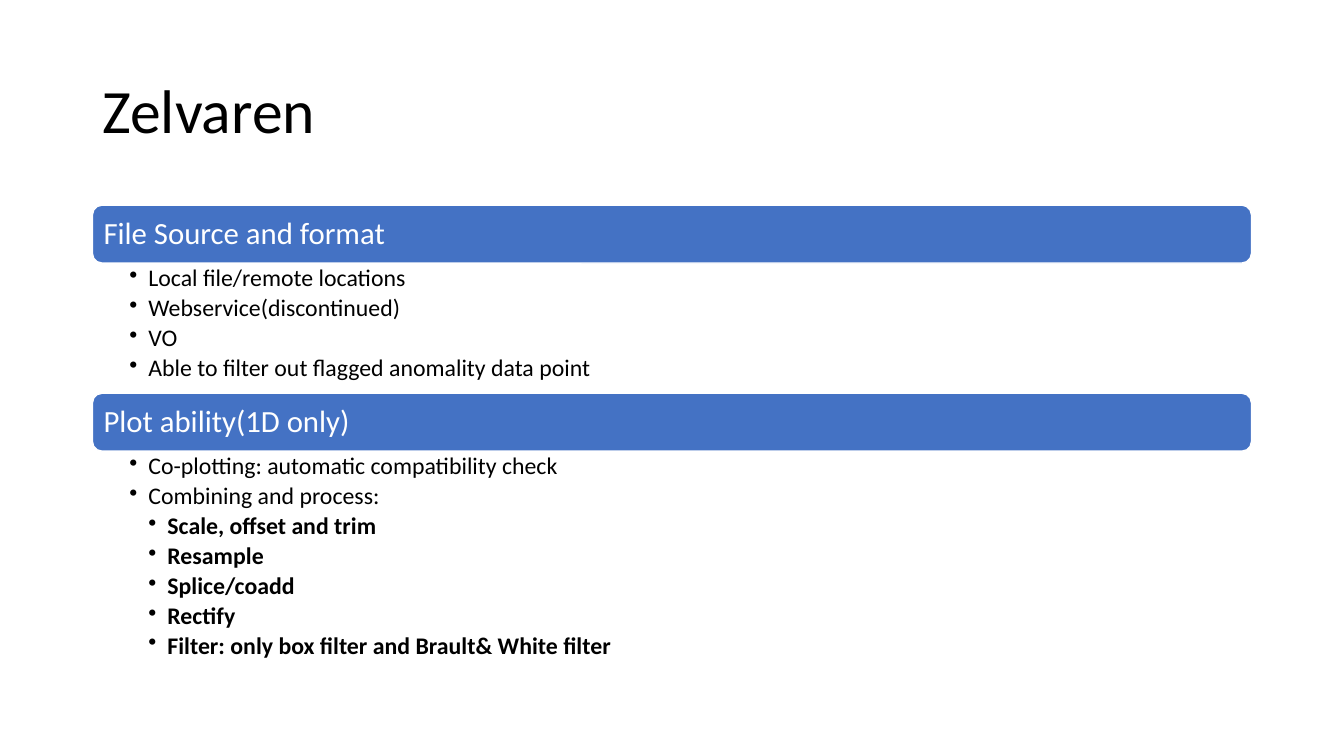
from lxml.etree import SubElement as Sub
from pptx import Presentation
from pptx.dml.color import RGBColor as Rgb
from pptx.enum.shapes import MSO_SHAPE as Shape
from pptx.enum.text import MSO_ANCHOR as Anchor, PP_ALIGN as Align
from pptx.oxml.ns import qn
from pptx.util import Cm, Pt

HUES = {"bar": "4472C4", "white": "FFFFFF", "black": "000000"}
LEFT, WIDE = Cm(2.33), Cm(29.21)
BAR = 1.46   # height of a heading bar in cm
STEP = 0.48  # indent of one bullet level in cm

# Heading, height of its list in cm, list items as (level, text)
PARTS = [
    ("File Source and format", 3.28, [
        (1, "Local file/remote locations"),
        (1, "Webservice(discontinued)"),
        (1, "VO"),
        (1, "Able to filter out flagged anomality data point"),
    ]),
    ("Plot ability(1D only)", 5.69, [
        (1, "Co-plotting: automatic compatibility check"),
        (1, "Combining and process:"),
        (2, "Scale, offset and trim"),
        (2, "Resample"),
        (2, "Splice/coadd"),
        (2, "Rectify"),
        (2, "Filter: only box filter and Brault& White filter"),
    ]),
]


def write(para, text, size, hue="black", bold=False, level=0, after=0):
    """Fill one paragraph; a level above 0 gives it a bullet."""
    run = para.add_run()
    run.text = text
    font = run.font
    font.name, font.size, font.bold = "Calibri", Pt(size), bold
    font.color.rgb = Rgb.from_string(HUES[hue])
    para.alignment = Align.LEFT
    para.line_spacing = 0.9
    para.space_before, para.space_after = Pt(0), Pt(after)
    if level:
        para.level = level
        props = para._p.get_or_add_pPr()
        props.set("marL", str(Cm(STEP * level)))
        props.set("indent", str(-Cm(STEP)))
        Sub(props, qn("a:buChar"), char="•")


def frame(shape, anchor, left, right, edge):
    """Set wrapping, anchor and insets (cm) of a text frame."""
    box = shape.text_frame
    box.word_wrap, box.vertical_anchor = True, anchor
    box.margin_left, box.margin_right = Cm(left), Cm(right)
    box.margin_top = box.margin_bottom = Cm(edge)
    return box.paragraphs[0]


deck = Presentation()
deck.slide_width, deck.slide_height = Cm(33.87), Cm(19.05)
slide = deck.slides.add_slide(deck.slide_layouts[5])

# Title
title = slide.shapes.title
title.left, title.top, title.width, title.height = LEFT, Cm(1.01), WIDE, Cm(3.68)
write(frame(title, Anchor.MIDDLE, 0.25, 0.25, 0.13), "Zelvaren", 44)

# Heading bars, each with its list below
top = 5.17
for head, tall, items in PARTS:
    bar = slide.shapes.add_shape(Shape.ROUNDED_RECTANGLE, LEFT, Cm(top), WIDE, Cm(BAR))
    bar.shadow.inherit = False
    bar.fill.solid()
    bar.fill.fore_color.rgb = Rgb.from_string(HUES["bar"])
    bar.line.color.rgb = Rgb.from_string(HUES["white"])
    bar.line.width = Pt(1)
    write(frame(bar, Anchor.MIDDLE, 0.21, 0.21, 0), head, 22, hue="white")
    top += BAR

    body = slide.shapes.add_textbox(LEFT, Cm(top), WIDE, Cm(tall))
    para = frame(body, Anchor.TOP, 0.93, 0.43, 0.08)
    for i, (level, text) in enumerate(items):
        if i:
            para = body.text_frame.add_paragraph()
        write(para, text, 17, bold=level == 2, level=level, after=3)
    top += tall

deck.save("out.pptx")
